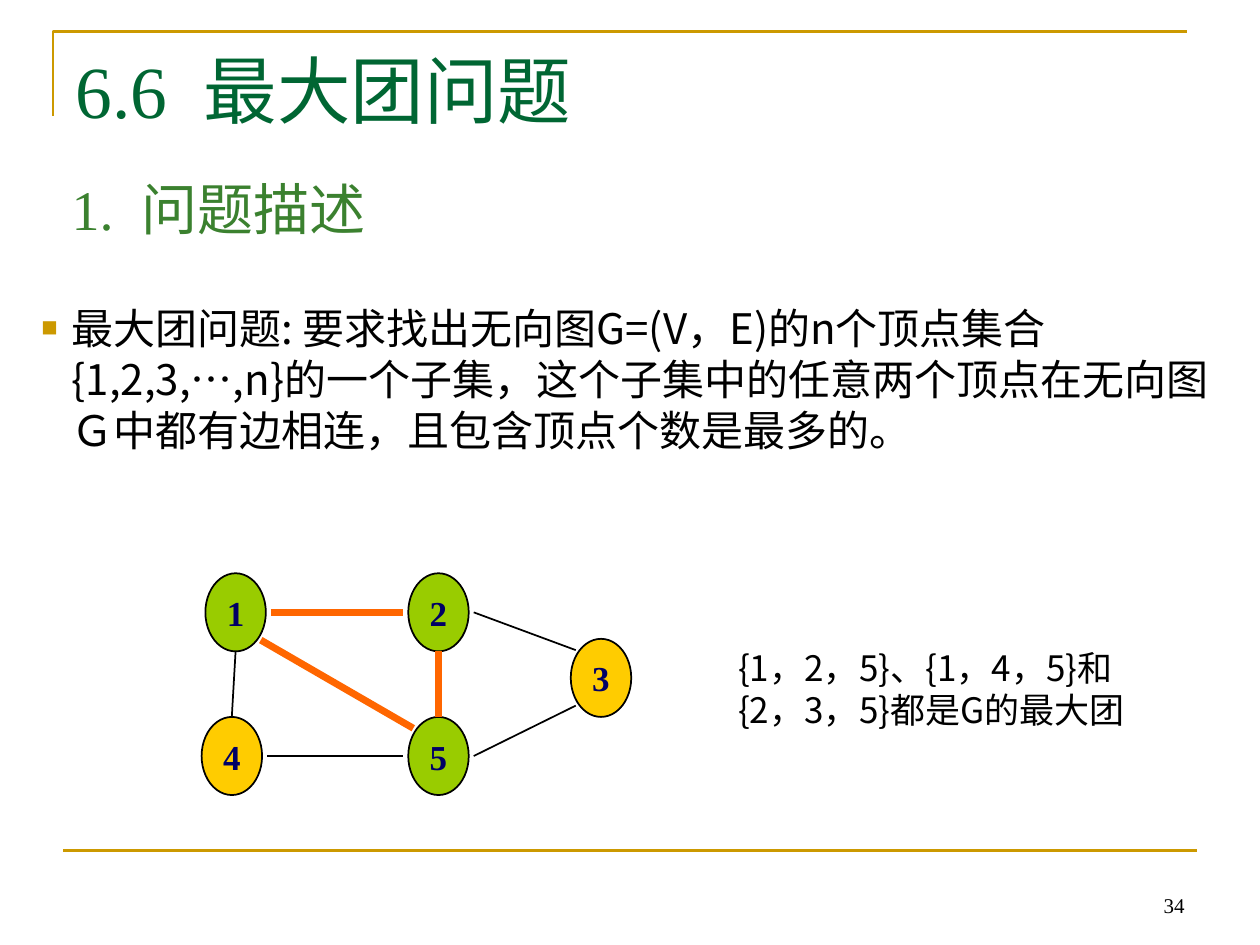
from lxml import etree
from pptx import Presentation, util as u
from pptx.dml.color import RGBColor
from pptx.enum import shapes, text
from pptx.oxml.ns import qn

presentation = Presentation()
presentation.slide_width, presentation.slide_height = u.Inches(10), u.Inches(7.5)
slide = presentation.slides.add_slide(presentation.slide_layouts[6])

# Grid of 100 columns by 75 rows
COLUMN = presentation.slide_width / 100
ROW = presentation.slide_height / 75
SERIF, SANS = "Times New Roman", "Noto Sans CJK SC"
GOLD, GREEN, YELLOW, ORANGE, BLACK = "CC9900", "99CC00", "FFCC00", "FF6600", "000000"


def write(shape, words, size, font=SERIF, color=BLACK, bold=False, align="LEFT",
          anchor="TOP", wrap=True, leading=None, gap=0, bullet=False):
    frame = shape.text_frame
    frame.word_wrap = wrap
    frame.vertical_anchor = getattr(text.MSO_ANCHOR, anchor)
    paragraph = frame.paragraphs[0]
    paragraph.alignment = getattr(text.PP_ALIGN, align)
    if leading:
        paragraph.line_spacing = u.Pt(round(size * leading, 1))
    if bullet:
        properties = paragraph._p.get_or_add_pPr()
        properties.set("marL", str(int(2.4 * COLUMN)))
        properties.set("indent", str(int(-2.4 * COLUMN)))
        bullet_color = etree.SubElement(properties, qn("a:buClr"))
        etree.SubElement(bullet_color, qn("a:srgbClr"), val=GOLD)
        etree.SubElement(properties, qn("a:buSzPct"), val="65000")
        etree.SubElement(properties, qn("a:buFont"), typeface=SERIF)
        etree.SubElement(properties, qn("a:buChar"), char="■")
    # A gap widens the space between a heading's number and its words
    number, space, rest = words.partition(" ")
    for part in ([number, space, rest] if gap else [words]):
        run = paragraph.add_run()
        run.text = part
        run.font.size, run.font.bold, run.font.name = u.Pt(size), bold, font
        run.font.color.rgb = RGBColor.from_string(color)
        etree.SubElement(run._r.get_or_add_rPr(), qn("a:ea"), typeface=SANS)
        if gap and part == space:
            run._r.get_or_add_rPr().set("spc", str(int(gap * 100)))


def draw_line(start, end, color, width):
    line = slide.shapes.add_connector(
        shapes.MSO_CONNECTOR.STRAIGHT, int(start[0] * COLUMN), int(start[1] * ROW),
        int(end[0] * COLUMN), int(end[1] * ROW))
    line.line.color.rgb = RGBColor.from_string(color)
    line.line.width = u.Pt(width)
    etree.SubElement(line._element.spPr, qn("a:effectLst"))


# Gold frame: open corner above, rule below
builder = slide.shapes.build_freeform(int(4.2 * COLUMN), int(9.2 * ROW))
builder.add_line_segments([(int(4.2 * COLUMN), int(2.5 * ROW)),
                           (int(94.2 * COLUMN), int(2.5 * ROW))], close=False)
corner = builder.convert_to_shape()
corner.shadow.inherit = False
corner.fill.background()
corner.line.color.rgb = RGBColor.from_string(GOLD)
corner.line.width = u.Pt(1.5)
draw_line((5, 67.5), (95, 67.5), GOLD, 1.5)

# Texts: place in columns and rows, words, format
texts = [
    ((5, 3, 90, 12.5), "6.6 最大团问题",
     dict(size=42, color="006633", leading=1.21, gap=10.5)),
    ((71.7, 68.3, 23.3, 5), "34", dict(size=12, align="RIGHT", anchor="BOTTOM")),
    ((2.3, 23.5, 96.1, 13),
     "最大团问题: 要求找出无向图G=(V，E)的n个顶点集合{1,2,3,…,n}的一个子集，"
     "这个子集中的任意两个顶点在无向图Ｇ中都有边相连，且包含顶点个数是最多的。",
     dict(size=24, font=SANS, leading=1.21, bullet=True)),
    ((4.7, 13.3, 65, 6.4), "1. 问题描述",
     dict(size=32, color="3B812F", leading=1.21, gap=8)),
    ((57.6, 50.8, 34.1, 11), "{1，2，5}、{1，4，5}和{2，3，5}都是G的最大团",
     dict(size=20, font=SANS, leading=1.21)),
]
for (left, top, width, height), words, style in texts:
    box = slide.shapes.add_textbox(int(left * COLUMN), int(top * ROW),
                                   int(width * COLUMN), int(height * ROW))
    write(box, words, **style)

# Graph vertices: centre column, centre row, fill
NODE_WIDTH, NODE_HEIGHT = 4.8, 6.2
vertices = {"1": (18.7, 48.6, GREEN), "2": (34.8, 48.6, GREEN),
            "4": (18.4, 60, YELLOW), "5": (34.8, 60, GREEN), "3": (47.7, 53.8, YELLOW)}
for label, (x, y, fill) in vertices.items():
    vertex = slide.shapes.add_shape(
        shapes.MSO_SHAPE.OVAL,
        int((x - NODE_WIDTH / 2) * COLUMN), int((y - NODE_HEIGHT / 2) * ROW),
        int(NODE_WIDTH * COLUMN), int(NODE_HEIGHT * ROW))
    vertex.shadow.inherit = False
    vertex.fill.solid()
    vertex.fill.fore_color.rgb = RGBColor.from_string(fill)
    vertex.line.color.rgb = RGBColor.from_string(BLACK)
    vertex.line.width = u.Pt(1)
    write(vertex, label, 20, color="000066", bold=True, align="CENTER",
          anchor="MIDDLE", wrap=False)

# Graph edges: each end is a vertex and an offset from its centre
sides = {"right": (2.8, 0), "left": (-2.8, 0), "top": (0, -3.1), "bottom": (0, 3.1),
         "upper left": (-2, -2.2), "lower left": (-2, 2.2), "lower right": (2, 2.2)}
edges = [("1", "right", "2", "left", True), ("1", "bottom", "4", "top", False),
         ("4", "right", "5", "left", False), ("5", "top", "2", "bottom", True),
         ("1", "lower right", "5", "upper left", True),
         ("3", "upper left", "2", "right", False), ("5", "right", "3", "lower left", False)]
for first, first_side, second, second_side, in_clique in edges:
    start, end = [(vertices[label][0] + sides[side][0], vertices[label][1] + sides[side][1])
                  for label, side in ((first, first_side), (second, second_side))]
    draw_line(start, end, ORANGE if in_clique else BLACK, 4 if in_clique else 1)

presentation.save("out.pptx")
